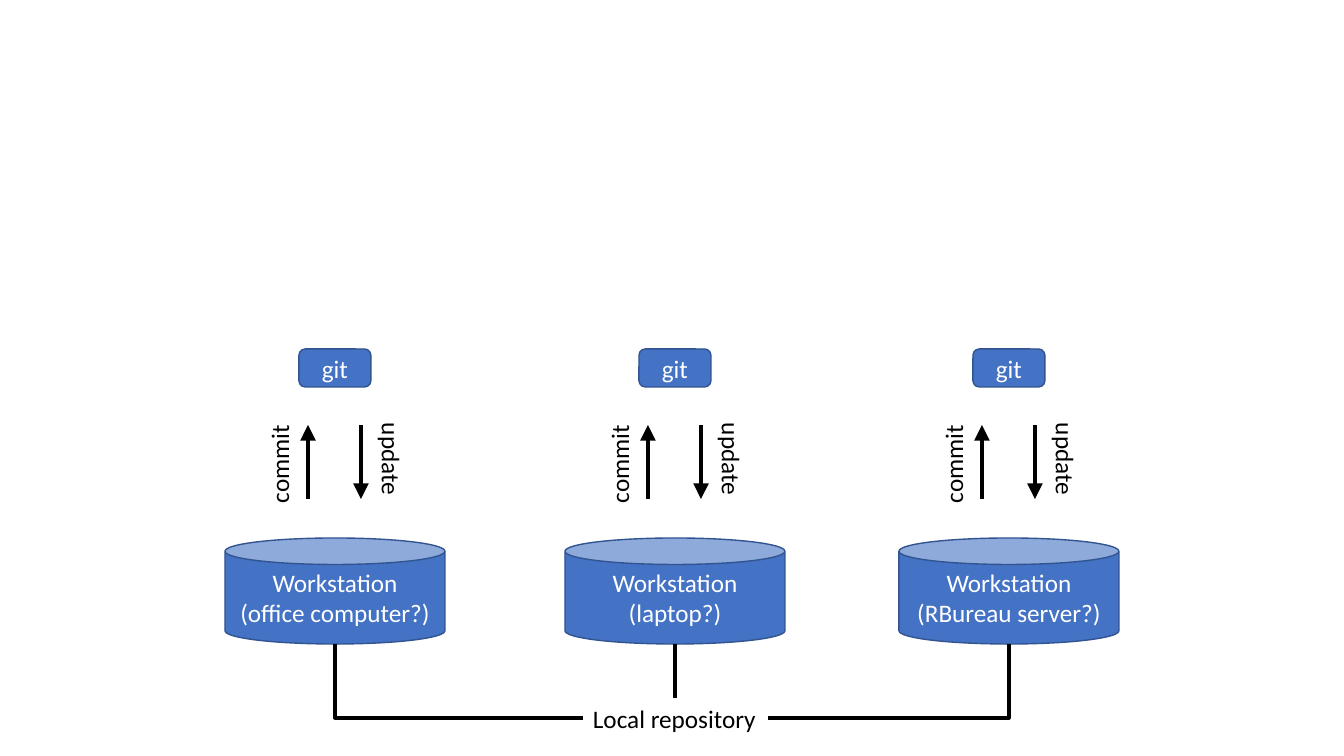
"""Build a slide of three workstations sharing one local repository."""
from lxml.etree import SubElement
from pptx import Presentation
from pptx.dml.color import RGBColor
from pptx.enum.shapes import MSO_CONNECTOR as CONNECTOR, MSO_SHAPE as SHAPE
from pptx.enum.text import MSO_ANCHOR as ANCHOR, PP_ALIGN as ALIGN
from pptx.oxml.ns import qn
from pptx.util import Inches, Pt

PIXEL = Inches(1) / 100.8
BLUE = RGBColor(0x44, 0x72, 0xC4)
OUTLINE = RGBColor(0x32, 0x54, 0x91)
WHITE = RGBColor(0xFF, 0xFF, 0xFF)
BLACK = RGBColor(0x00, 0x00, 0x00)


def write(shape, text, color, alignment):
    shape.text_frame.text = text
    for paragraph in shape.text_frame.paragraphs:
        paragraph.alignment = alignment
        for run in paragraph.runs:
            run.font.name = "Calibri"
            run.font.size = Pt(18)
            run.font.color.rgb = color


def connect(kind, *ends):
    connector = slide.shapes.add_connector(kind, *[round(end * PIXEL) for end in ends])
    connector.line.color.rgb = BLACK
    connector.line.width = Pt(2.25)
    SubElement(connector._element.spPr, qn("a:effectLst"))
    return connector


presentation = Presentation()
presentation.slide_width = round(1344 * PIXEL)
presentation.slide_height = round(756 * PIXEL)
slide = presentation.slides.add_slide(presentation.slide_layouts[6])

workstations = [(335, "office computer?"), (675, "laptop?"), (1009, "RBureau server?")]
for center, place in workstations:
    boxes = [
        (SHAPE.CAN, 538, 220, 106, f"Workstation\n({place})"),
        (SHAPE.ROUNDED_RECTANGLE, 349, 72, 38, "git"),
    ]
    for kind, top, width, height, text in boxes:
        bounds = (center - width / 2, top, width, height)
        shape = slide.shapes.add_shape(kind, *[round(length * PIXEL) for length in bounds])
        shape.shadow.inherit = False
        shape.fill.solid()
        shape.fill.fore_color.rgb = BLUE
        shape.line.color.rgb = OUTLINE
        shape.line.width = Pt(1)
        shape.text_frame.word_wrap = True
        shape.text_frame.vertical_anchor = ANCHOR.MIDDLE
        write(shape, text, WHITE, ALIGN.CENTER)

    transfers = [("commit", -56, 270, -27, 499, 425), ("update", 57, 90, 26, 425, 499)]
    for text, label_offset, rotation, arrow_offset, start, end in transfers:
        bounds = (center + label_offset - 50, 443, 100, 40)
        label = slide.shapes.add_textbox(*[round(length * PIXEL) for length in bounds])
        label.rotation = rotation
        label.text_frame.word_wrap = True
        write(label, text, BLACK, ALIGN.LEFT)
        arrow_x = center + arrow_offset
        arrow = connect(CONNECTOR.STRAIGHT, arrow_x, start, arrow_x, end)
        outline = arrow.line._get_or_add_ln()
        SubElement(outline, qn("a:tailEnd"), type="triangle", w="lg", len="lg")

bounds = (583, 698, 184, 40)
repository = slide.shapes.add_textbox(*[round(length * PIXEL) for length in bounds])
repository.text_frame.word_wrap = False
write(repository, "Local repository", BLACK, ALIGN.LEFT)

connect(CONNECTOR.STRAIGHT, 675, 698, 675, 644)
for repository_edge, center in [(583, 335), (768, 1009)]:
    elbow = connect(CONNECTOR.ELBOW, repository_edge, 718, center, 644)
    elbow._element.spPr.find(qn("a:prstGeom")).set("prst", "bentConnector2")

presentation.save("out.pptx")
